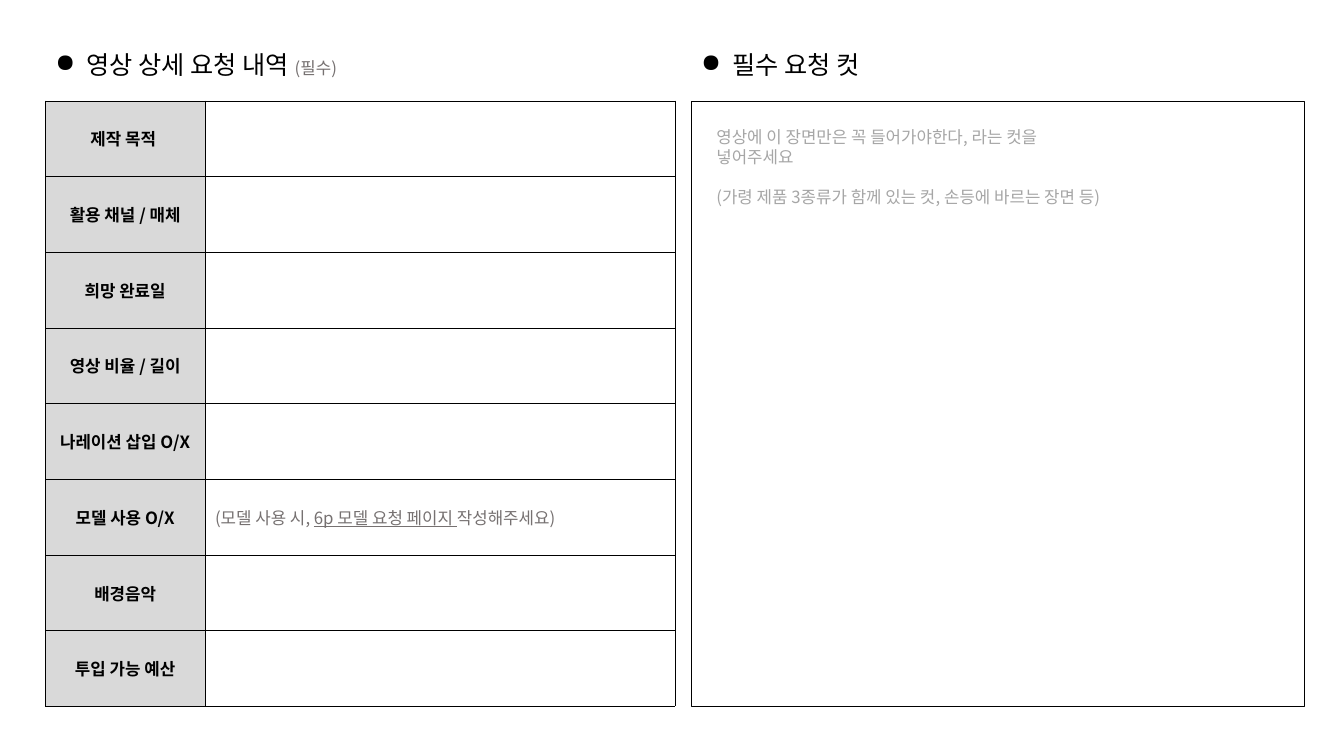
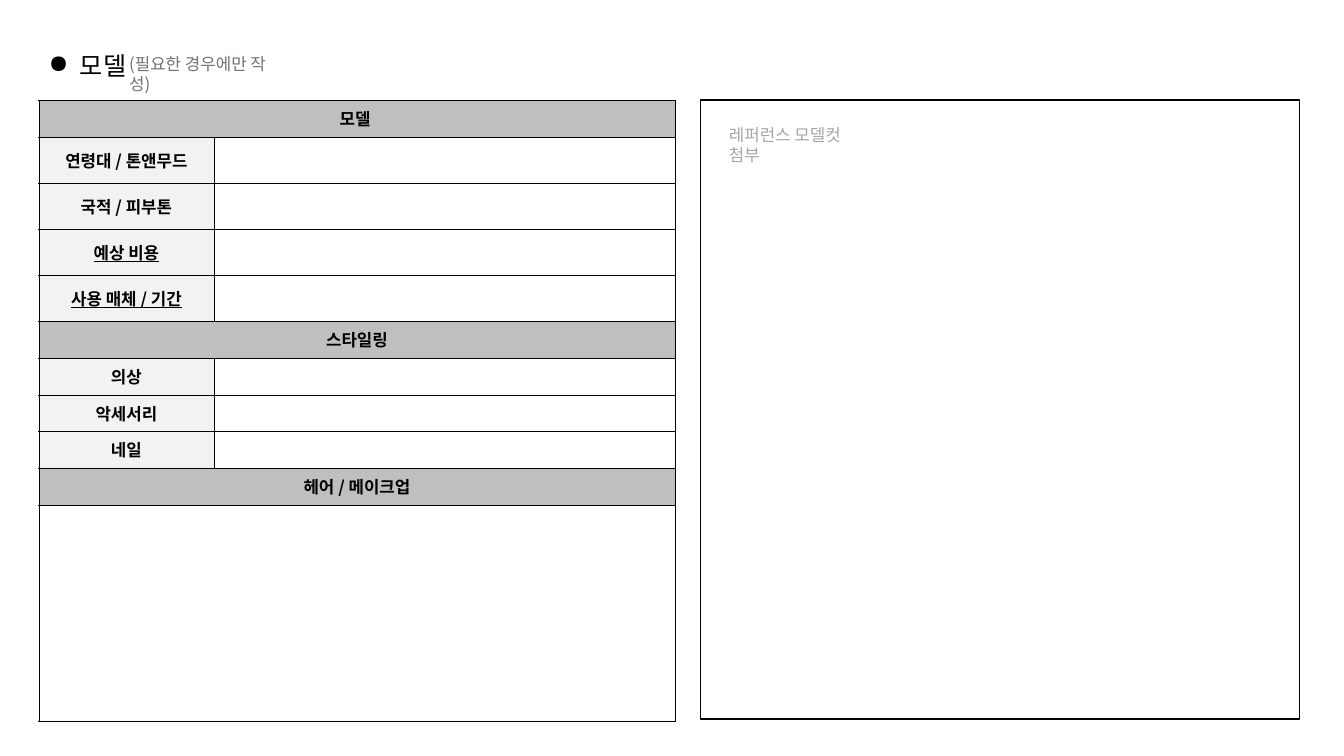
import pptx
import pptx.util
import pptx.dml.color
import pptx.enum.shapes
import pptx.enum.text
import pptx.oxml.ns
import lxml.etree

FACE = "Noto Sans CJK KR"
COLS, ROWS = 160, 90
WIDE, HIGH = pptx.util.Inches(13.333), pptx.util.Inches(7.5)
ALIGN = pptx.enum.text.PP_ALIGN
MIDDLE = pptx.enum.text.MSO_ANCHOR.MIDDLE

HEAD = {"size": 18, "color": "000000"}
HINT = {"size": 12, "color": "767171"}
PALE = {"size": 12, "color": "A6A6A6"}
LABEL = {"size": 12, "color": "000000", "bold": True}
LINED = {**LABEL, "underline": True}


def tint(code):
    return pptx.dml.color.RGBColor.from_string(code)


def col(count):
    return round(WIDE * count / COLS)


def row(count):
    return round(HIGH * count / ROWS)


def place(shape, box):
    x, y, w, h = box
    spots = {"left": col(x), "top": row(y), "width": col(w), "height": row(h)}
    for name, value in spots.items():
        setattr(shape, name, value)


def node(parent, tag, **attrs):
    item = lxml.etree.SubElement(parent, pptx.oxml.ns.qn("a:" + tag))
    for name, value in attrs.items():
        item.set(name, value)
    return item


def write(para, runs):
    for text, style in runs:
        run = para.add_run()
        run.text = text
        font = run.font
        values = {"bold": False, **style, "size": pptx.util.Pt(style["size"]), "name": FACE}
        font.color.rgb = tint(values.pop("color"))
        for name, value in values.items():
            setattr(font, name, value)
        node(run._r.get_or_add_rPr(), "ea", typeface=FACE)


def frame(shape):
    text = shape.text_frame
    text.word_wrap = True
    text.auto_size = pptx.enum.text.MSO_AUTO_SIZE.NONE
    text.vertical_anchor = pptx.enum.text.MSO_ANCHOR.TOP
    return text


def head(shape, box, runs):
    place(shape, box)
    para = frame(shape).paragraphs[0]
    para.alignment = ALIGN.LEFT
    props = para._p.get_or_add_pPr()
    props.set("marL", str(pptx.util.Inches(0.31)))
    props.set("indent", str(-pptx.util.Inches(0.31)))
    node(props, "buChar", char="●")
    write(para, runs)


def note(slide, box, lines, style):
    text = frame(slide.shapes.add_textbox(0, 0, 0, 0))
    place(slide.shapes[-1], box)
    for i, line in enumerate(lines):
        para = text.add_paragraph() if i else text.paragraphs[0]
        para.space_before = pptx.util.Pt(14.3 if i else 0)
        write(para, [(line, style)])


def panel(slide, box, width, fill=None):
    shape = slide.shapes.add_shape(pptx.enum.shapes.MSO_SHAPE.RECTANGLE, 0, 0, 0, 0)
    place(shape, box)
    shape.shadow.inherit = False
    if fill:
        shape.fill.solid()
        shape.fill.fore_color.rgb = tint(fill)
    else:
        shape.fill.background()
    shape.line.color.rgb = tint("000000")
    shape.line.width = pptx.util.Pt(width)


def cell(item, runs, fill, align, pad):
    props = item._tc.get_or_add_tcPr()
    for side in ("lnL", "lnR", "lnT", "lnB"):
        edge = node(props, side, w=str(pptx.util.Pt(0.25)))
        node(node(edge, "solidFill"), "srgbClr", val="000000")
    item.fill.solid()
    item.fill.fore_color.rgb = tint(fill)
    item.vertical_anchor = MIDDLE
    for name, value in pad.items():
        setattr(item, name, pptx.util.Inches(value))
    para = item.text_frame.paragraphs[0]
    para.alignment = align
    if runs:
        write(para, runs)
    else:
        para._p.get_or_add_endParaRPr().set("sz", "1200")


def form(slide, x, y, cols, rows, shade, pad):
    heights = [height for height, *rest in rows]
    box = [col(x), row(y), col(sum(cols)), row(sum(heights))]
    table = slide.shapes.add_table(len(rows), 2, *box).table
    table.first_row = table.horz_banding = False
    for i, width in enumerate(cols):
        table.columns[i].width = col(width)
    for i, (height, label, style, entry) in enumerate(rows):
        table.rows[i].height = row(height)
        left, right = table.cell(i, 0), table.cell(i, 1)
        wide = entry is None
        fill = shade if not wide else "BFBFBF" if label else "FFFFFF"
        cell(left, [(label, style)] if label else [], fill, ALIGN.CENTER, pad)
        cell(right, entry, "FFFFFF", ALIGN.LEFT, pad)
        if wide:
            left.merge(right)


def start(deck):
    return deck.slides.add_slide(deck.slide_layouts[5])


def video(deck):
    slide = start(deck)
    head(slide.shapes.title, (5.4, 5.3, 65.9, 4.8),
         [("영상 상세 요청 내역 ", HEAD), ("(필수)", HINT)])
    ask = [("(모델 사용 시, ", HINT),
           ("6p 모델 요청 페이지 ", {**HINT, "underline": True}),
           ("작성해주세요)", HINT)]
    labels = ["제작 목적 ", "활용 채널 / 매체", "희망 완료일", "영상 비율 / 길이",
              "나레이션 삽입 O/X", "모델 사용 O/X", "배경음악", "투입 가능 예산"]
    rows = [(9.01, label, LABEL, ask if label.startswith("모델") else [])
            for label in labels]
    form(slide, 5.4, 12, (19, 56), rows, "D9D9D9", {})
    panel(slide, (82.3, 12, 73, 72.1), 0.25, "FFFFFF")
    head(slide.shapes.add_textbox(0, 0, 0, 0), (82.3, 5.3, 32, 4.8),
         [("필수 요청 컷", HEAD)])
    note(slide, (84.1, 14.5, 49.7, 8.5),
         ["영상에 이 장면만은 꼭 들어가야한다, 라는 컷을 넣어주세요",
          "(가령 제품 3종류가 함께 있는 컷, 손등에 바르는 장면 등)"], PALE)


def model(deck):
    slide = start(deck)
    head(slide.shapes.title, (4.6, 5.4, 32, 4.8), [("모델", HEAD)])
    note(slide, (14.2, 5.8, 21, 3.6), ["(필요한 경우에만 작성)"], HINT)
    rows = [
        (4.4, "모델 ", LABEL, None),
        (5.48, "연령대 / 톤앤무드", LABEL, []),
        (5.48, "국적 / 피부톤", LABEL, []),
        (5.48, "예상 비용", LINED, []),
        (5.48, "사용 매체 / 기간", LINED, []),
        (4.4, "스타일링", LABEL, None),
        (4.4, "의상", LABEL, []),
        (4.2, "악세서리", LABEL, []),
        (4.2, "네일", LABEL, []),
        (4.4, "헤어 / 메이크업", LABEL, None),
        (25.8, "", LABEL, None),
    ]
    sides = ("left", "right", "top", "bottom")
    pad = {"margin_" + side: 0.06 for side in sides}
    form(slide, 4.6, 11.9, (20.9, 54.9), rows, "F2F2F2", pad)
    panel(slide, (83.4, 11.9, 71.3, 73.7), 1)
    note(slide, (85.6, 14.3, 19.7, 3.6), ["레퍼런스 모델컷 첨부"], PALE)


def main():
    deck = pptx.Presentation()
    deck.slide_width, deck.slide_height = WIDE, HIGH
    video(deck)
    model(deck)
    deck.save("out.pptx")


main()
